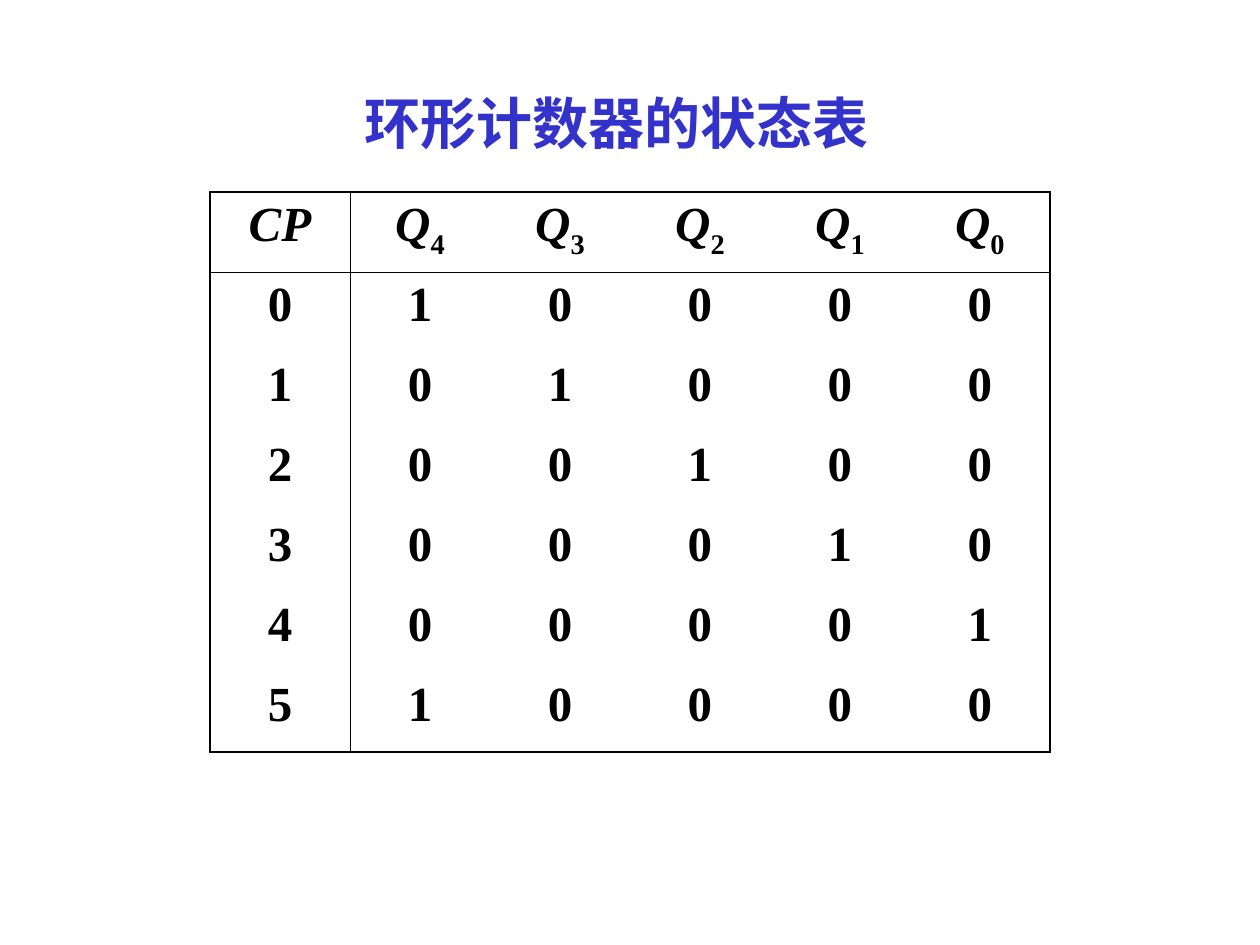
from lxml import etree
from pptx import Presentation
from pptx import util as u
from pptx.dml.color import RGBColor
from pptx.enum import text
from pptx.oxml.ns import qn

PX = u.Inches(1) / 126
FONT = "Times New Roman"
COLORS = {"title": "3333CC", "ink": "000000"}
OUTER_LINE, INNER_LINE = u.Pt(1.08), u.Pt(0.45)
BITS = 5
STEPS = 6


def px(length):
    return u.Emu(round(length * PX))


def add_run(paragraph, content, size, color, italic=False, subscript=False):
    run = paragraph.add_run()
    run.text = content
    run.font.name = FONT
    run.font.size = u.Pt(size)
    run.font.bold = True
    run.font.italic = italic
    run.font.color.rgb = RGBColor.from_string(COLORS[color])
    if subscript:
        run.font._element.set("baseline", "-25000")


def set_borders(cell, widths):
    """Draw the left, right, top and bottom borders; a width of None hides one."""
    properties = cell._tc.get_or_add_tcPr()
    for side, width in zip("LRTB", widths):
        line = etree.SubElement(properties, qn(f"a:ln{side}"))
        if width is None:
            line.set("w", "0")
            etree.SubElement(line, qn("a:noFill"))
        else:
            line.set("w", str(int(width)))
            fill = etree.SubElement(line, qn("a:solidFill"))
            etree.SubElement(fill, qn("a:srgbClr")).set("val", COLORS["ink"])


def add_title(slide, left, top, width, height):
    shape = slide.shapes.add_textbox(px(left), px(top), px(width), px(height))
    frame = shape.text_frame
    frame.word_wrap = True
    frame.auto_size = text.MSO_AUTO_SIZE.SHAPE_TO_FIT_TEXT
    add_run(frame.paragraphs[0], "环形计数器的状态表", 32, "title")


def state_rows():
    """List each cell as (symbol, subscript); the single 1 moves right each pulse."""
    header = [("CP", "")] + [("Q", str(bit)) for bit in reversed(range(BITS))]
    states = [
        [(str(step), "")] + [(str(int(step % BITS == bit)), "") for bit in range(BITS)]
        for step in range(STEPS)
    ]
    return [header] + states


def cell_borders(row, column, last_row, last_column):
    """Frame the table, and rule off the header row and the first column."""
    left = {0: OUTER_LINE, 1: INNER_LINE}.get(column)
    right = {0: INNER_LINE, last_column: OUTER_LINE}.get(column)
    top = {0: OUTER_LINE, 1: INNER_LINE}.get(row)
    bottom = {0: INNER_LINE, last_row: OUTER_LINE}.get(row)
    return left, right, top, bottom


def add_state_table(slide, left, top, width, height):
    rows = state_rows()
    row_count, column_count = len(rows), len(rows[0])
    table = slide.shapes.add_table(
        row_count, column_count, px(left), px(top), px(width), px(height)
    ).table
    table.first_row = table.horz_banding = False
    for column in table.columns:
        column.width = px(width / column_count)
    for row in table.rows:
        row.height = px(height / row_count)

    for row_index, row in enumerate(rows):
        for column_index, (symbol, subscript) in enumerate(row):
            cell = table.cell(row_index, column_index)
            set_borders(cell, cell_borders(row_index, column_index,
                                           row_count - 1, column_count - 1))
            cell.fill.background()
            paragraph = cell.text_frame.paragraphs[0]
            paragraph.alignment = text.PP_ALIGN.CENTER
            add_run(paragraph, symbol, 28, "ink", italic=row_index == 0)
            if subscript:
                add_run(paragraph, subscript, 28, "ink", subscript=True)


def main():
    presentation = Presentation()
    presentation.slide_width, presentation.slide_height = px(1260), px(945)
    slide = presentation.slides.add_slide(presentation.slide_layouts[6])
    add_title(slide, 352, 82, 557, 81)
    add_state_table(slide, 210, 192, 840, 560)
    presentation.save("out.pptx")


if __name__ == "__main__":
    main()
